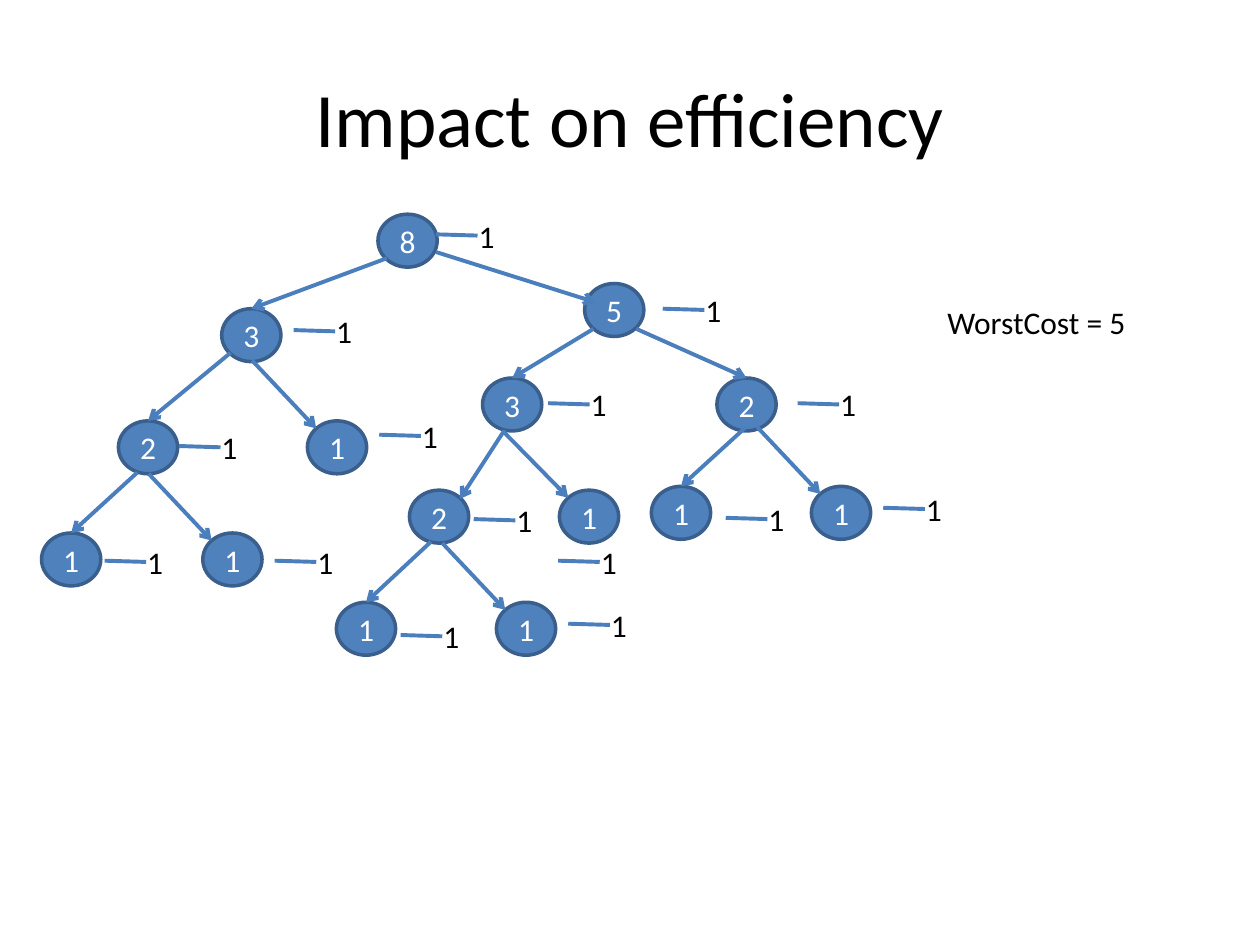
from lxml import etree
from pptx import Presentation
from pptx.dml.color import RGBColor
from pptx.enum.shapes import MSO_CONNECTOR, MSO_SHAPE
from pptx.enum.text import MSO_ANCHOR, PP_ALIGN
from pptx.oxml.ns import qn
from pptx.util import Inches, Pt

STRAIGHT, OVAL = MSO_CONNECTOR.STRAIGHT, MSO_SHAPE.OVAL
MIDDLE, CENTER, LEFT = MSO_ANCHOR.MIDDLE, PP_ALIGN.CENTER, PP_ALIGN.LEFT

# Content
TITLE = "Impact on efficiency"
SUMMARY = "WorstCost = 5"
COST = "1"

# name: (value, left, top, start of the cost tick)
NODES = {
    "root": ("8", 3.00, 1.70, (3.46, 1.86)),
    "R": ("5", 4.64, 2.25, (5.26, 2.45)),
    "L": ("3", 1.76, 2.45, (2.33, 2.62)),
    "RL": ("3", 3.83, 3.00, (4.35, 3.20)),
    "RR": ("2", 5.69, 3.00, (6.33, 3.20)),
    "LL": ("2", 0.94, 3.34, (1.42, 3.54)),
    "LR": ("1", 2.44, 3.34, (3.01, 3.45)),
    "RLL": ("2", 3.25, 3.89, (3.76, 4.12)),
    "RLR": ("1", 4.44, 3.89, (4.43, 4.45)),
    "RRL": ("1", 5.17, 3.86, (5.76, 4.11)),
    "RRR": ("1", 6.44, 3.86, (7.01, 4.03)),
    "LLL": ("1", 0.33, 4.23, (0.83, 4.45)),
    "LLR": ("1", 1.61, 4.23, (2.18, 4.45)),
    "RLLL": ("1", 2.67, 4.78, (3.18, 5.04)),
    "RLLR": ("1", 3.94, 4.78, (4.51, 4.95)),
}

# Where an arrow meets its child, measured from the child's corner
TOP, UPPER_LEFT, UPPER_RIGHT, SIDE = None, (0.07, 0.06), (0.40, 0.07), (0.09, 0.15)

# (child, start at the parent, meeting place)
EDGES = [
    ("L", (3.07, 2.05), TOP),
    ("R", (3.46, 2.00), SIDE),
    ("LL", (1.83, 2.80), TOP),
    ("LR", (2.00, 2.86), UPPER_LEFT),
    ("RL", (4.71, 2.61), TOP),
    ("RR", (5.05, 2.61), TOP),
    ("LLL", (1.09, 3.75), TOP),
    ("LLR", (1.18, 3.76), UPPER_LEFT),
    ("RLL", (4.00, 3.42), UPPER_RIGHT),
    ("RLR", (3.99, 3.42), UPPER_LEFT),
    ("RRL", (5.92, 3.39), TOP),
    ("RRR", (6.01, 3.39), UPPER_LEFT),
    ("RLLL", (3.42, 4.30), TOP),
    ("RLLR", (3.51, 4.31), UPPER_LEFT),
]

THEME = {
    "font": "Calibri", "title": 44, "body": 18,
    "text": RGBColor(0x00, 0x00, 0x00), "node_text": RGBColor(0xFF, 0xFF, 0xFF),
    "node": RGBColor(0x4F, 0x81, 0xBD), "outline": RGBColor(0x3A, 0x5F, 0x8C),
    "line": RGBColor(0x4B, 0x7E, 0xBC), "outline_width": 2, "line_width": 2.25,
}
NODE_W, NODE_H = 0.47, 0.42
TICK_DX, TICK_DY = 0.33, 0.01
COST_DX, COST_DY, COST_W, COST_H = 0.24, -0.19, 0.5, 0.41


def write(tf, text, size="body", color="text", align=LEFT):
    tf.word_wrap = True
    p = tf.paragraphs[0]
    p.alignment = align
    r = p.add_run()
    r.text = text
    r.font.name = THEME["font"]
    r.font.size = Pt(THEME[size])
    r.font.color.rgb = THEME[color]


def add_text(shapes, text, left, top, width, height):
    box = shapes.add_textbox(*map(Inches, (left, top, width, height)))
    write(box.text_frame, text)


def add_line(shapes, start, end, arrow=False):
    line = shapes.add_connector(STRAIGHT, *map(Inches, (*start, *end)))
    line.line.color.rgb = THEME["line"]
    line.line.width = Pt(THEME["line_width"])
    if arrow:
        etree.SubElement(line.line._get_or_add_ln(), qn("a:tailEnd"), type="arrow")
    etree.SubElement(line._element.spPr, qn("a:effectLst"))
    return line


def add_node(shapes, value, left, top):
    sp = shapes.add_shape(OVAL, *map(Inches, (left, top, NODE_W, NODE_H)))
    sp.shadow.inherit = False
    sp.fill.solid()
    sp.fill.fore_color.rgb = THEME["node"]
    sp.line.color.rgb = THEME["outline"]
    sp.line.width = Pt(THEME["outline_width"])
    sp.text_frame.vertical_anchor = MIDDLE
    write(sp.text_frame, value, color="node_text", align=CENTER)
    return sp


def main():
    prs = Presentation()
    prs.slide_width, prs.slide_height = Inches(10), Inches(7.5)
    s = prs.slides.add_slide(prs.slide_layouts[5])

    # Title and total
    title = s.shapes.title
    title.left, title.top, title.width, title.height = map(Inches, (0.5, 0.3, 9, 1.25))
    title.text_frame.vertical_anchor = MIDDLE
    write(title.text_frame, TITLE, size="title", align=CENTER)
    add_text(s.shapes, SUMMARY, 7.42, 2.36, 2.08, 0.4)

    # Tree nodes
    tree = s.shapes.add_group_shape().shapes
    ovals = {name: add_node(tree, value, left, top)
             for name, (value, left, top, _) in NODES.items()}

    # Arrows from parent to child
    for child, start, meet in EDGES:
        _, left, top, _ = NODES[child]
        dx, dy = meet or (NODE_W / 2, 0)
        arrow = add_line(tree, start, (left + dx, top + dy), arrow=True)
        if meet is TOP:
            arrow.end_connect(ovals[child], 0)

    # Cost of each node
    for _, _, _, (x, y) in NODES.values():
        add_line(tree, (x, y), (x + TICK_DX, y + TICK_DY))
        add_text(tree, COST, x + COST_DX, y + COST_DY, COST_W, COST_H)

    prs.save("out.pptx")


if __name__ == "__main__":
    main()
